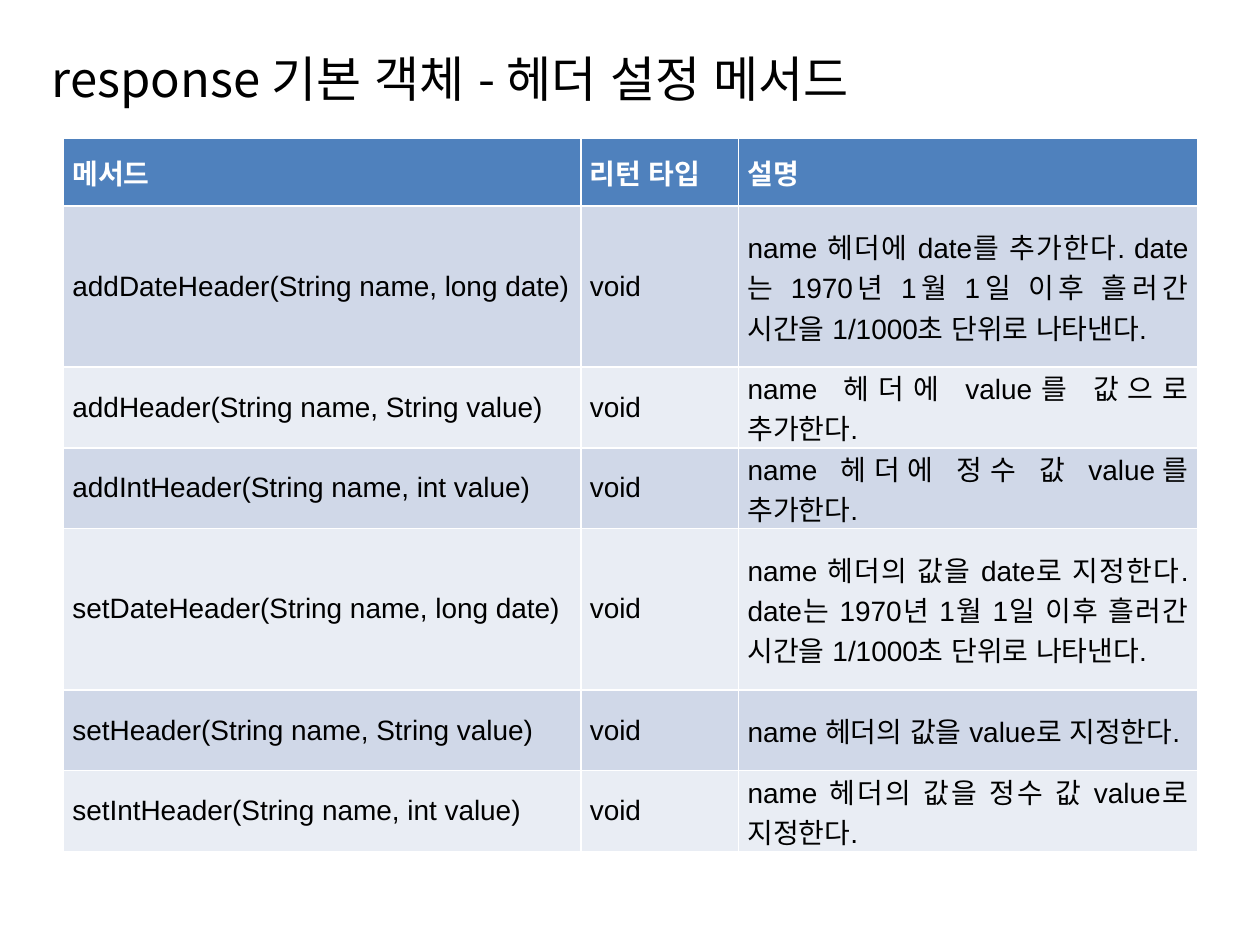
"""Build a slide with a table of the response object's header methods."""
from lxml import etree
from pptx import Presentation
from pptx.dml.color import RGBColor
from pptx.enum.lang import MSO_LANGUAGE_ID
from pptx.enum.text import MSO_ANCHOR, PP_ALIGN
from pptx.oxml.ns import qn
from pptx.util import Cm, Pt

MIDDLE = MSO_ANCHOR.MIDDLE
LEFT, JUSTIFY = PP_ALIGN.LEFT, PP_ALIGN.JUSTIFY
KOREAN = MSO_LANGUAGE_ID.KOREAN

TITLE = "response 기본 객체 - 헤더 설정 메서드"
HEADINGS = ("메서드", "리턴 타입", "설명")
ELAPSED = "date는 1970년 1월 1일 이후 흘러간 시간을 1/1000초 단위로 나타낸다."
METHODS = [
    ("addDateHeader(String name, long date)", "void", "name 헤더에 date를 추가한다. " + ELAPSED),
    ("addHeader(String name, String value)", "void", "name 헤더에 value를 값으로 추가한다."),
    ("addIntHeader(String name, int value)", "void", "name 헤더에 정수 값 value를 추가한다."),
    ("setDateHeader(String name, long date)", "void", "name 헤더의 값을 date로 지정한다. " + ELAPSED),
    ("setHeader(String name, String value)", "void", "name 헤더의 값을 value로 지정한다."),
    ("setIntHeader(String name, int value)", "void", "name 헤더의 값을 정수 값 value로 지정한다."),
]
COLUMN_WIDTHS = (10.43, 3.18, 9.25)
ROW_HEIGHTS = (1.37, 2.36, 1.37, 1.37, 2.36, 1.37, 1.57)
HANGUL_FONT, LATIN_FONT = "Noto Sans CJK KR", "Arial"
HEADER_FILL, BAND_FILLS = "4F81BD", ("D0D8E8", "E9EDF4")
WHITE, BLACK = "FFFFFF", "000000"


def color(value):
    return RGBColor.from_string(value)


def write(text_frame, text, font_name, size, font_color, alignment, bold=False):
    paragraph = text_frame.paragraphs[0]
    paragraph.alignment = alignment
    run = paragraph.add_run()
    run.text = text
    font = run.font
    font.name, font.size, font.bold = font_name, Pt(size), bold
    font.color.rgb = color(font_color)
    font.language_id = KOREAN
    latin = font._element.find(qn("a:latin"))
    east_asian = etree.Element(qn("a:ea"), typeface=HANGUL_FONT)
    latin.addnext(east_asian)


presentation = Presentation()
presentation.slide_width, presentation.slide_height = Cm(25.4), Cm(19.05)
slide = presentation.slides.add_slide(presentation.slide_layouts[5])

title = slide.shapes.title
title.left, title.top, title.width, title.height = Cm(0.79), Cm(0.76), Cm(24), Cm(1.63)
title.text_frame.vertical_anchor = MIDDLE
write(title.text_frame, TITLE, HANGUL_FONT, 28, BLACK, LEFT)

rows = [HEADINGS, *METHODS]
table = slide.shapes.add_table(
    len(rows), len(HEADINGS), Cm(1.28), Cm(2.78),
    Cm(sum(COLUMN_WIDTHS)), Cm(sum(ROW_HEIGHTS))).table
for column, width in zip(table.columns, COLUMN_WIDTHS):
    column.width = Cm(width)
for index, (row, height, texts) in enumerate(zip(table.rows, ROW_HEIGHTS, rows)):
    row.height = Cm(height)
    is_header = index == 0
    fill = HEADER_FILL if is_header else BAND_FILLS[(index - 1) % 2]
    for cell, text in zip(row.cells, texts):
        cell.fill.solid()
        cell.fill.fore_color.rgb = color(fill)
        cell.vertical_anchor = MIDDLE
        cell.margin_left = cell.margin_right = Cm(0.18)
        cell.margin_top = cell.margin_bottom = Cm(0)
        write(cell.text_frame, text, LATIN_FONT, 16,
              WHITE if is_header else BLACK, JUSTIFY, is_header)

presentation.save("out.pptx")
